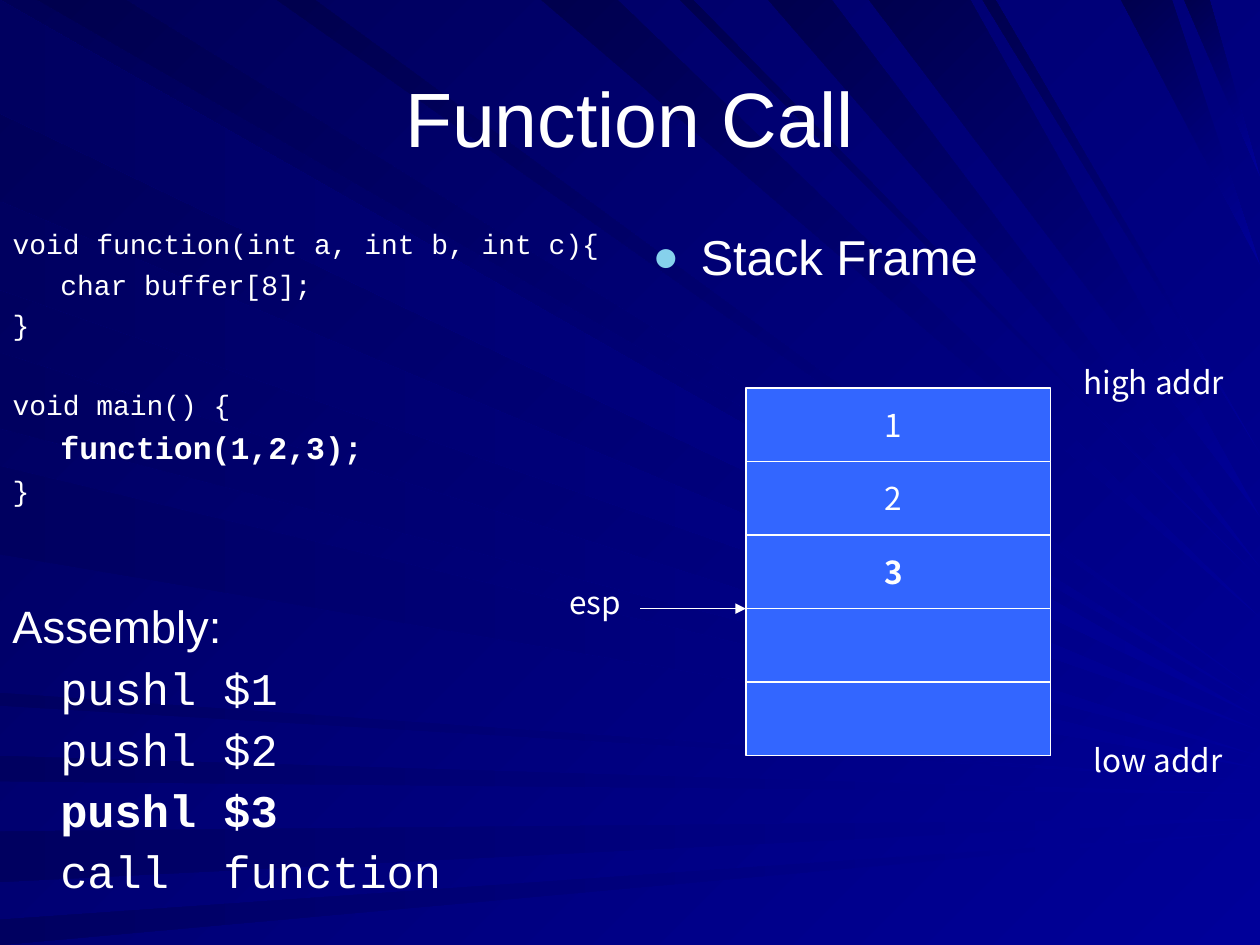
"""Build the Function Call slide: code, assembly and a stack frame on a rayed backdrop."""
from lxml import etree
from pptx import Presentation
from pptx.dml.color import RGBColor
from pptx.enum.shapes import MSO_CONNECTOR, MSO_SHAPE
from pptx.enum.text import MSO_ANCHOR, MSO_AUTO_SIZE, PP_ALIGN
from pptx.oxml.ns import qn
from pptx.util import Inches, Pt

RECT, LINE = MSO_SHAPE.RECTANGLE, MSO_CONNECTOR.STRAIGHT
CENTER, MIDDLE, TOP = PP_ALIGN.CENTER, MSO_ANCHOR.MIDDLE, MSO_ANCHOR.TOP
FIXED = MSO_AUTO_SIZE.NONE
SANS, MONO, NOTO = "Arial", "Courier New", "Noto Sans CJK KR"
COLORS = {"text": "FFFFFF", "cell": "3366FF", "dot": "86D1EC",
          "near": "000099", "far": "000057", "side": "000060", "roof": "00004E"}
SIDE = [(0, 0.9, 5.7), (1.6, 2.3, 5.8), (2.8, 3.4, 6), (3.7, 4.4, 6.1),
        (5.5, 5.6, 6.2), (6, 6.2, 6.3), (6.6, 7, 6.5), (7.3, 7.5, 6.6)]
ROOF = [(0.3, 1, 5.6), (2.2, 2.5, 5.5), (4.3, 4.9, 4.9), (5.4, 5.5, 4.6),
        (6.1, 6.6, 4.5), (6.9, 7.7, 4.1), (7.8, 7.9, 3.6), (8.9, 9.3, 2.1), (9.4, 9.6, 1.4)]


def paint(fill, angle, start, end):
    fill.gradient()
    fill.gradient_angle = angle
    for stop, name in zip(fill.gradient_stops, (start, end)):
        stop.color.rgb = RGBColor.from_string(COLORS[name])


def write(frame, lines, spread=None):
    frame.word_wrap = True
    frame.auto_size = FIXED
    for i, (text, size, face, bold, gap, inset) in enumerate(lines):
        para = frame.paragraphs[0] if i == 0 else frame.add_paragraph()
        para.text = text
        props = para._p.get_or_add_pPr()
        props.set("marL", str(Inches(inset)))
        props.set("indent", "0")
        etree.SubElement(props, qn("a:buNone"))
        para.space_before = Pt(gap)
        para.line_spacing = spread
        para.font.size = Pt(size)
        para.font.name = face
        para.font.bold = bold
        para.font.color.rgb = RGBColor.from_string(COLORS["text"])


deck = Presentation()
deck.slide_width, deck.slide_height = Inches(10), Inches(7.5)
slide = deck.slides.add_slide(deck.slide_layouts[3])
shapes = slide.shapes
paint(slide.background.fill, 135, "near", "far")

rays = shapes.add_group_shape()
wedges = [((0, a), (0, b), end, 180, "side") for a, b, end in SIDE]
wedges += [((a, 0), (b, 0), end, 135, "roof") for a, b, end in ROOF]
for first, second, end, angle, shade in wedges:
    pen = rays.shapes.build_freeform(*map(Inches, first))
    pen.add_line_segments([tuple(map(Inches, spot)) for spot in (second, (10, end))])
    ray = pen.convert_to_shape()
    ray.shadow.inherit = False
    ray.line.fill.background()
    paint(ray.fill, angle, "near", shade)
shapes._spTree.insert(2, rays._element)

title, code, topic = slide.placeholders
for holder, box, anchor in ((title, (0.5, 0.3, 9, 1.25), MIDDLE),
                            (code, (0, 1.75, 4.92, 2.75), TOP),
                            (topic, (5.08, 1.75, 4.92, 4.95), TOP)):
    holder.left, holder.top, holder.width, holder.height = map(Inches, box)
    holder.text_frame.vertical_anchor = anchor

write(title.text_frame, [("Function Call", 44, SANS, False, 0, 0)])
title.text_frame.paragraphs[0].alignment = CENTER
write(code.text_frame, [
    ("void function(int a, int b, int c){", 16, MONO, False, 0, 0),
    ("char buffer[8];", 16, MONO, False, 4, 0.38),
    ("}", 16, MONO, False, 4, 0),
    ("void main() {", 16, MONO, False, 26.5, 0),
    ("function(1,2,3);", 18, MONO, True, 4, 0.38),
    ("}", 16, MONO, False, 4, 0),
])

write(topic.text_frame, [("Stack Frame", 28, SANS, False, 0, 0.38)])
props = topic.text_frame.paragraphs[0]._p.pPr
props.set("indent", str(Inches(-0.38)))
mark = props.find(qn("a:buNone"))
tint = etree.Element(qn("a:buClr"))
etree.SubElement(tint, qn("a:srgbClr"), val=COLORS["dot"])
mark.addprevious(tint)
mark.addprevious(etree.Element(qn("a:buSzPct"), val="90000"))
mark.addprevious(etree.Element(qn("a:buFont"), typeface=SANS))
props.replace(mark, etree.Element(qn("a:buChar"), char="●"))

step = 7 / 12
for row in range(5):
    cell = shapes.add_shape(RECT, Inches(5.92), Inches(3.08 + row * step), Inches(2.42), Inches(step))
    cell.shadow.inherit = False
    cell.fill.solid()
    cell.fill.fore_color.rgb = RGBColor.from_string(COLORS["cell"])
    cell.line.color.rgb = RGBColor.from_string(COLORS["text"])
    cell.line.width = Pt(0.75)

steps = [("pushl $1", False), ("pushl $2", False), ("pushl $3", True), ("call  function", False)]
panel = shapes.add_textbox(Inches(0), Inches(4.75), Inches(4.92), Inches(2.75))
write(panel.text_frame, [("Assembly:", 25.9, SANS, False, 0, 0)]
      + [(text, 25.9, MONO, bold, 7, 0.38) for text, bold in steps], 0.9)

labels = [("high addr", 8.5, 2.83, 1.5), ("low addr", 8.58, 5.83, 1.42), ("esp", 4.42, 4.58, 0.67)]
labels += [(str(i + 1), 6.92, 3.17 + i * step, 0.33) for i in range(3)]
for text, left, top, width in labels:
    label = shapes.add_textbox(Inches(left), Inches(top), Inches(width), Inches(0.4))
    write(label.text_frame, [(text, 18, NOTO, text == "3", 0, 0)])

arrow = shapes.add_connector(LINE, Inches(5.08), Inches(4.83), Inches(5.92), Inches(4.83))
arrow.line.color.rgb = RGBColor.from_string(COLORS["text"])
arrow.line.width = Pt(0.75)
etree.SubElement(arrow.line._get_or_add_ln(), qn("a:tailEnd"), type="triangle")
etree.SubElement(arrow._element.spPr, qn("a:effectLst"))

deck.save("out.pptx")
